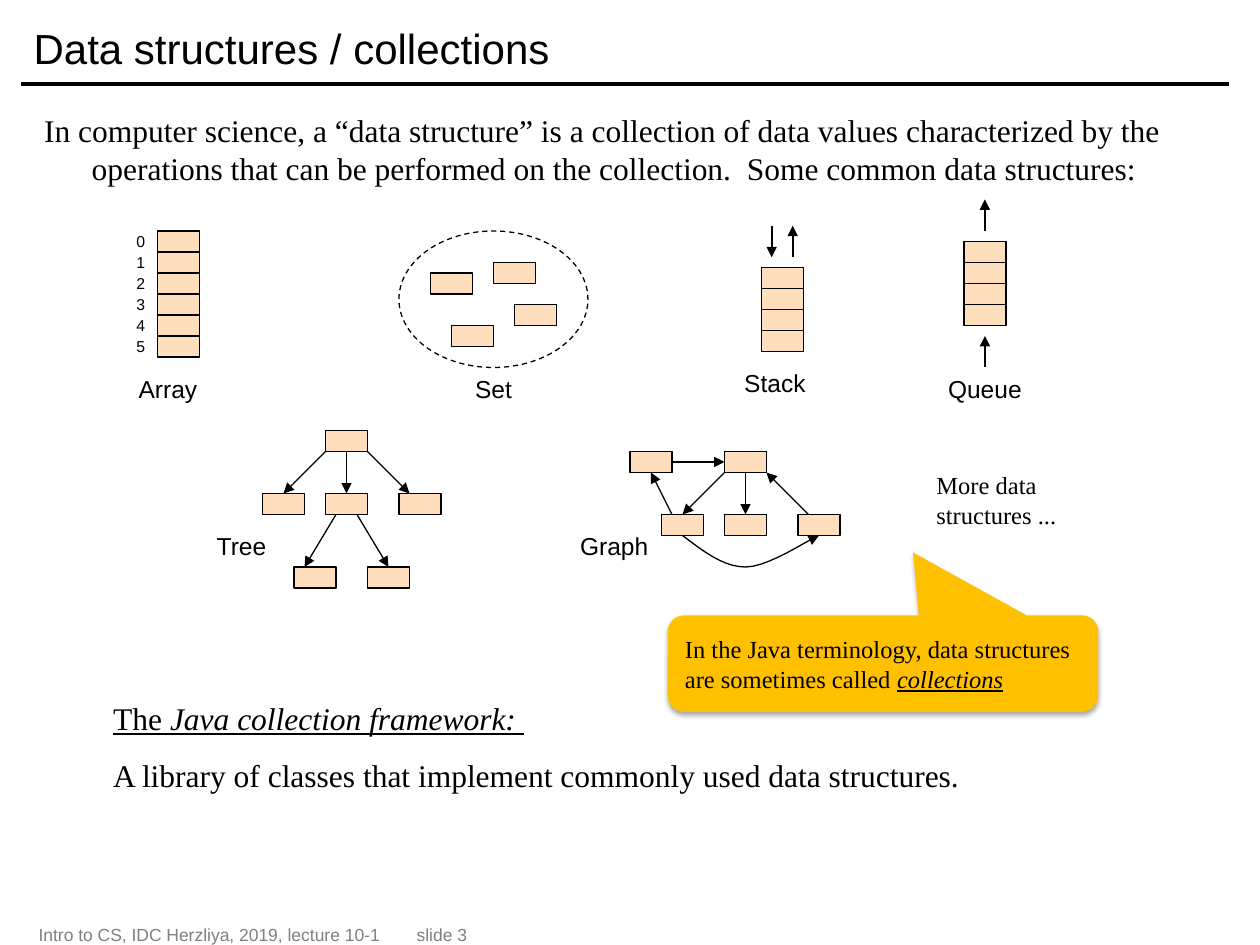
from dataclasses import dataclass, field

from lxml.etree import SubElement
from pptx import Presentation
from pptx.dml.color import RGBColor
from pptx.enum.dml import MSO_LINE_DASH_STYLE as Dash
from pptx.enum.shapes import MSO_CONNECTOR as Link, MSO_SHAPE as Shape
from pptx.enum.text import MSO_ANCHOR as Anchor, MSO_AUTO_SIZE as Fit, PP_ALIGN as Align
from pptx.oxml.ns import qn
from pptx.util import Cm, Pt

HUES = {"ink": "000000", "cell": "FFDEBD", "note": "FFC000", "foot": "808080"}
SANS, SERIF = "Arial", "Times New Roman"
STEP = 2.54 / 12  # grid unit in cm
WIDE, HIGH = 4, 2  # one cell, in grid units
HANG = 0.96

Spot = tuple[float, float]
Area = tuple[float, float, float, float]


@dataclass
class Figure:
    name: str
    label: Area
    cells: list[Spot]
    arrows: list[Area] = field(default_factory=list)
    weight: float = 0.75


def grid(*nums: float) -> list[Cm]:
    """Turn grid units into lengths."""
    return [Cm(num * STEP) for num in nums]


def hue(name: str) -> RGBColor:
    return RGBColor.from_string(HUES[name])


def pile(x: float, y: float, count: int) -> list[Spot]:
    """Corners of cells stacked without gaps."""
    return [(x, y + HIGH * row) for row in range(count)]


def write(frame, text, *, font=SANS, size=14, color="ink", align=Align.LEFT,
          anchor=Anchor.TOP, hang=0, gap=0, tab=0) -> None:
    """Fill a frame with a string, or with paragraphs of (text, style) runs,
    where style may hold i for italic and u for underlined."""
    frame.word_wrap, frame.auto_size = True, Fit.NONE
    frame.vertical_anchor = anchor
    lines = [[(text, "")]] if isinstance(text, str) else text
    for num, line in enumerate(lines):
        para = frame.add_paragraph() if num else frame.paragraphs[0]
        para.alignment = align
        para.space_before = Pt(gap if num else 0)
        props = para._p.get_or_add_pPr()
        props.set("marL", str(Cm(hang)))
        props.set("indent", str(-Cm(hang)))
        SubElement(props, qn("a:buNone"))
        if tab:
            tabs = SubElement(props, qn("a:tabLst"))
            SubElement(tabs, qn("a:tab"), pos=str(Cm(tab)), algn="r")
        for words, style in line:
            run = para.add_run()
            run.text = words
            run.font.name, run.font.size = font, Pt(size)
            run.font.color.rgb = hue(color)
            run.font.italic = "i" in style
            run.font.underline = "u" in style


def add_text(shapes, area: Area, text, **form) -> None:
    write(shapes.add_textbox(*grid(*area)).text_frame, text, **form)


def stroke(line, weight: float, arrow: bool = False) -> None:
    line.color.rgb = hue("ink")
    line.width = Pt(weight)
    if arrow:
        SubElement(line._get_or_add_ln(), qn("a:tailEnd"), type="triangle")


def add_line(shapes, ends: Area, weight: float, arrow: bool = True) -> None:
    link = shapes.add_connector(Link.STRAIGHT, *grid(*ends))
    stroke(link.line, weight, arrow)
    SubElement(link._element.spPr, qn("a:effectLst"))


def add_cell(shapes, spot: Spot) -> None:
    cell = shapes.add_shape(Shape.RECTANGLE, *grid(*spot, WIDE, HIGH))
    cell.shadow.inherit = False
    cell.fill.solid()
    cell.fill.fore_color.rgb = hue("cell")
    stroke(cell.line, 0.75)


def add_ring(shapes, area: Area) -> None:
    ring = shapes.add_shape(Shape.OVAL, *grid(*area))
    ring.shadow.inherit = False
    ring.fill.background()
    stroke(ring.line, 0.75)
    ring.line.dash_style = Dash.DASH


def bend(a: Spot, b: Spot, c: Spot, d: Spot, count: int = 10) -> list[Spot]:
    """Points on a cubic curve, its start left out."""
    spots = []
    for num in range(1, count + 1):
        t = num / count
        parts = ((1 - t) ** 3, 3 * t * (1 - t) ** 2, 3 * t * t * (1 - t), t ** 3)
        x, y = (sum(k * v for k, v in zip(parts, axis)) for axis in zip(a, b, c, d))
        spots.append((x, y))
    return spots


def add_curve(shapes, start: Spot, *arcs: tuple[Spot, Spot, Spot]) -> None:
    pen = shapes.build_freeform(*grid(*start))
    for arc in arcs:
        pen.add_line_segments([grid(*spot) for spot in bend(start, *arc)], close=False)
        start = arc[-1]
    curve = pen.convert_to_shape()
    curve.shadow.inherit = False
    curve.fill.background()
    stroke(curve.line, 0.75, arrow=True)


def add_note(shapes, area: Area, text) -> None:
    note = shapes.add_shape(Shape.ROUNDED_RECTANGULAR_CALLOUT, *grid(*area))
    for num, value in enumerate((0.07, -1.15, 0.17)):
        note.adjustments[num] = value
    note.fill.solid()
    note.fill.fore_color.rgb = hue("note")
    note.line.fill.background()
    glow = SubElement(SubElement(note._element.spPr, qn("a:effectLst")), qn("a:outerShdw"),
                      blurRad=str(Pt(3.1)), dist=str(Pt(1.8)), dir="5400000", rotWithShape="0")
    tint = SubElement(glow, qn("a:srgbClr"), val=HUES["ink"])
    SubElement(tint, qn("a:alpha"), val="35000")
    write(note.text_frame, text, font=SERIF, anchor=Anchor.MIDDLE)


def add_figure(shapes, fig: Figure):
    group = shapes.add_group_shape().shapes
    for spot in fig.cells:
        add_cell(group, spot)
    for ends in fig.arrows:
        add_line(group, ends, fig.weight)
    add_text(group, fig.label, fig.name, align=Align.CENTER)
    return group


def place(holder, area: Area) -> None:
    holder.left, holder.top, holder.width, holder.height = grid(*area)


FIGURES = [
    Figure("Array", (11, 35, 10, 4), pile(15, 22, 6)),
    Figure("Set", (42, 35, 10, 4), [(41, 26), (49, 29), (43, 31), (47, 25)]),
    Figure("Stack", (68.8, 34.5, 10, 4), pile(72.5, 25.5, 4),
           [(73.5, 21.5, 73.5, 24.5), (75.5, 24.5, 75.5, 21.5)], 1),
    Figure("Queue", (88.8, 35, 10, 4), pile(91.8, 23, 4),
           [(93.8, 22, 93.8, 19), (93.8, 35, 93.8, 32)], 1),
    Figure("Tree", (18, 50, 10, 4),
           [(31, 41), (25, 47), (31, 47), (38, 47), (28, 54), (35, 54)],
           [(31, 43, 27, 47), (33, 43, 33, 47), (35, 43, 39, 47),
            (32, 49, 29, 54), (34, 49, 37, 54)]),
    Figure("Graph", (53.5, 50, 10, 4),
           [(60, 43), (69, 43), (63, 49), (69, 49), (76, 49)],
           [(64, 44, 69, 44), (69, 45, 65, 49), (71, 45, 71, 49),
            (77, 49, 73, 45), (64, 49, 62, 45)]),
]


def main() -> None:
    deck = Presentation()
    deck.slide_width, deck.slide_height = Cm(25.4), Cm(19.05)
    slide = deck.slides.add_slide(deck.slide_layouts[1])
    shapes = slide.shapes
    title, body = shapes.title, slide.placeholders[1]
    place(title, (2, 1, 115, 7))
    write(title.text_frame, "Data structures / collections", size=24, anchor=Anchor.MIDDLE)
    place(body, (3, 10, 113, 8))
    write(body.text_frame, "In computer science, a “data structure” is a collection of data values "
          "characterized by the operations that can be performed on the collection.  "
          "Some common data structures:", font=SERIF, size=18, hang=HANG)
    add_line(shapes, (2, 8, 117, 8), 2, arrow=False)

    groups = {fig.name: add_figure(shapes, fig) for fig in FIGURES}
    for num, (x, y) in enumerate(FIGURES[0].cells):
        add_text(groups["Array"], (x - WIDE, y, WIDE, HIGH), str(num), size=9,
                 align=Align.RIGHT, anchor=Anchor.MIDDLE)
    add_ring(groups["Set"], (38, 22, 18, 13))
    add_curve(groups["Graph"], (65, 51), ((67, 52.5), (68.9, 54), (71, 54)),
              ((73.2, 54), (76.8, 51.5), (78, 51)))

    add_text(shapes, (88, 44.2, 19, 6.8), "More data structures ...", font=SERIF)
    add_text(shapes, (9.6, 66, 108, 14), [
        [("The ", "u"), ("Java collection framework: ", "iu")],
        [("A library of classes that implement commonly used data structures.", "")],
    ], font=SERIF, size=18, hang=HANG, gap=11)
    add_note(shapes, (63.6, 58.6, 41, 9.2), [
        [("In the Java terminology, data structures are sometimes called ", ""),
         ("collections", "iu")]])
    add_text(shapes, (2.5, 87.7, 114, 2.6), "Intro to CS, IDC Herzliya, 2019, lecture 10-1\tslide 3",
             size=10, color="foot", anchor=Anchor.MIDDLE, tab=23)
    deck.save("out.pptx")


if __name__ == "__main__":
    main()
